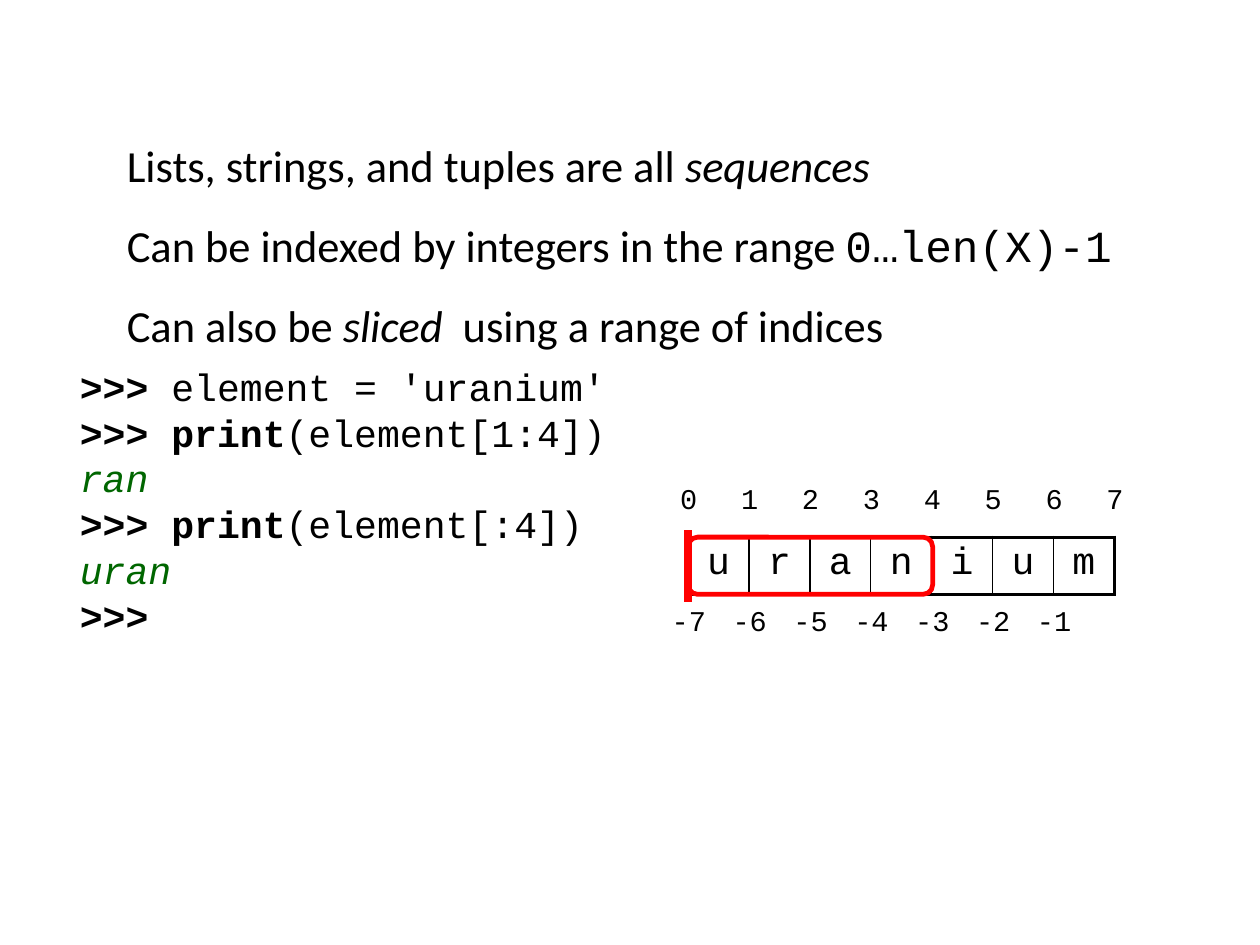
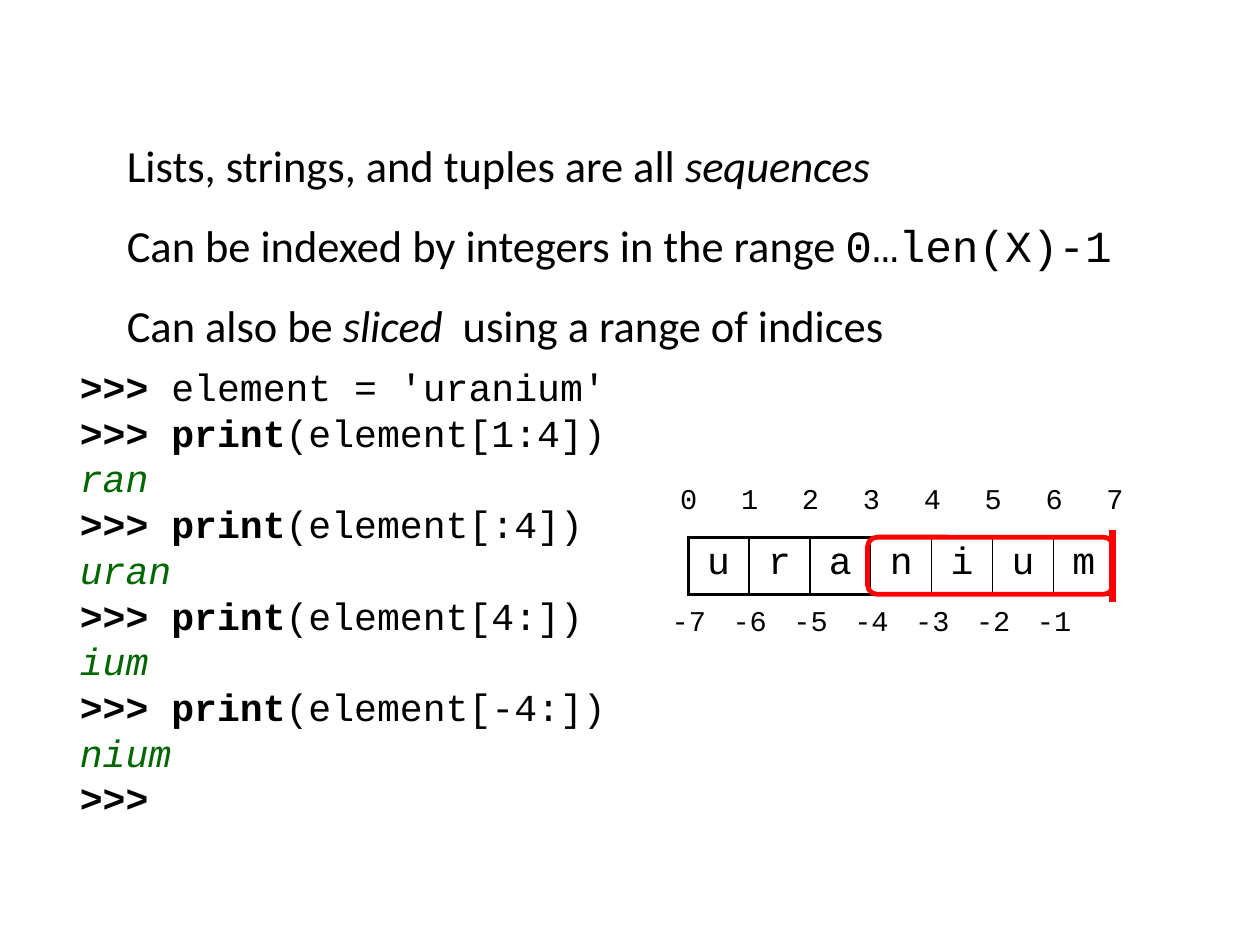
from pptx import Presentation
from pptx.dml.color import RGBColor
from pptx.enum.shapes import MSO_CONNECTOR, MSO_SHAPE
from pptx.enum.text import MSO_ANCHOR, MSO_AUTO_SIZE, PP_ALIGN
from pptx.oxml.ns import qn
from pptx.util import Cm, Inches, Pt
from lxml import etree

ROUNDED = MSO_SHAPE.ROUNDED_RECTANGLE
STRAIGHT = MSO_CONNECTOR.STRAIGHT
TOP = MSO_ANCHOR.TOP
NO_AUTOFIT = MSO_AUTO_SIZE.NONE
LEFT, CENTER = PP_ALIGN.LEFT, PP_ALIGN.CENTER

# Shared look
SLIDE_WIDTH, SLIDE_HEIGHT = Cm(28), Cm(21)
BLACK = RGBColor(0x00, 0x00, 0x00)
GREEN = RGBColor(0x00, 0x66, 0x00)
RED = RGBColor(0xFF, 0x00, 0x00)
PROSE, CODE = "Calibri", "Courier New"
PLAIN_TABLE = "{2D5ABB26-0587-4C30-8999-92F81FD0307C}"

# Letter grid
WORD = "uranium"
WORD_LEFT, WORD_TOP = Inches(6.02), Inches(4.7)
LETTER_HEIGHT = Inches(0.5)
LETTER_WIDTH = Inches(3.73) // len(WORD)
INDEX_LEFT = Inches(5.76)
OUTER, INNER = Pt(2.25), Pt(1)

# Each point is a list of (text, font, italic)
POINTS = [
    [("Lists, strings, and tuples are all ", PROSE, False),
     ("sequences", PROSE, True)],
    [("Can be indexed by integers in the range ", PROSE, False),
     ("0…len(X)-1", CODE, False)],
    [("Can also be ", PROSE, False), ("sliced", PROSE, True),
     ("  using a range of indices", PROSE, False)],
]

# Each slice typed at the prompt, with its result
SLICES = [("[1:4]", "ran"), ("[:4]", "uran"), ("[4:]", "ium"), ("[-4:]", "nium")]


def add_run(paragraph, text, size, font=CODE, color=BLACK, bold=False, italic=False):
    run = paragraph.add_run()
    run.text = text
    run.font.name = font
    run.font.size = Pt(size)
    run.font.color.rgb = color
    run.font.bold = bold
    run.font.italic = italic


def next_paragraph(frame, number):
    return frame.paragraphs[0] if number == 0 else frame.add_paragraph()


def add_points(slide):
    body = slide.placeholders[1]
    body.left, body.top = Inches(1.01), Inches(0.92)
    body.width, body.height = Inches(8.91), Inches(2.22)
    frame = body.text_frame
    frame.auto_size = NO_AUTOFIT
    frame.vertical_anchor = TOP
    for number, parts in enumerate(POINTS):
        point = next_paragraph(frame, number)
        point.alignment = LEFT
        point.line_spacing = 1.5
        point.space_before = point.space_after = Pt(0)
        properties = point._p.get_or_add_pPr()
        properties.set("marL", str(Inches(0.5)))
        properties.set("indent", str(-Inches(0.5)))
        etree.SubElement(properties, qn("a:buNone"))
        for text, font, italic in parts:
            add_run(point, text, 28, font, italic=italic)


def add_session(slide, slices):
    """Show the interpreter session: assignment, slices and a last prompt."""
    lines = [[(">>>", BLACK, True, False),
              (f" element = '{WORD}'", BLACK, False, False)]]
    for index, result in slices:
        lines.append([(">>> print", BLACK, True, False),
                      (f"(element{index})", BLACK, False, False)])
        lines.append([(result, GREEN, False, True)])
    lines.append([(">>>", BLACK, True, False)])

    session = slide.shapes.add_textbox(Inches(0.6), Inches(3.13),
                                       Inches(4.91), Inches(4.22))
    frame = session.text_frame
    frame.word_wrap = True
    for number, parts in enumerate(lines):
        line = next_paragraph(frame, number)
        for text, color, bold, italic in parts:
            add_run(line, text, 24, CODE, color, bold, italic)


def set_border(cell, side, width):
    border = etree.SubElement(cell._tc.get_or_add_tcPr(), qn(f"a:{side}"), w=str(width))
    fill = etree.SubElement(border, qn("a:solidFill"))
    etree.SubElement(fill, qn("a:srgbClr"), val=str(BLACK))


def add_row(slide, entries, left, top, height, size, bordered=False):
    """Add a one-row table, framed when bordered."""
    width = LETTER_WIDTH * len(entries)
    table = slide.shapes.add_table(1, len(entries), left, top, width, height).table
    table.first_row = table.horz_banding = False
    table._tbl.tblPr.find(qn("a:tableStyleId")).text = PLAIN_TABLE
    last = len(entries) - 1
    for column, entry in enumerate(entries):
        table.columns[column].width = LETTER_WIDTH
        cell = table.cell(0, column)
        if bordered:
            set_border(cell, "lnL", OUTER if column == 0 else INNER)
            set_border(cell, "lnR", OUTER if column == last else INNER)
            set_border(cell, "lnT", OUTER)
            set_border(cell, "lnB", OUTER)
        cell.fill.background()
        paragraph = cell.text_frame.paragraphs[0]
        paragraph.alignment = CENTER
        paragraph.line_spacing = 0.93
        paragraph.space_after = Pt(14.2)
        add_run(paragraph, str(entry), size)


def add_word(slide):
    count = len(WORD)
    add_row(slide, WORD, WORD_LEFT, WORD_TOP, LETTER_HEIGHT, 24, bordered=True)
    add_row(slide, range(count + 1), INDEX_LEFT, Inches(4.2), Inches(0.5), 18)
    add_row(slide, range(-count, 0), INDEX_LEFT, Inches(5.27), Inches(0.72), 18)


def add_slice_mark(slide, left, width, open_end):
    """Outline the chosen letters and mark the open end of the slice."""
    outline = slide.shapes.add_shape(ROUNDED, left, WORD_TOP, width, LETTER_HEIGHT)
    outline.shadow.inherit = False
    outline.fill.background()
    outline.line.color.rgb = RED
    outline.line.width = Pt(3)

    bar = slide.shapes.add_connector(STRAIGHT, open_end, Inches(4.64),
                                     open_end, Inches(5.27))
    bar.line.color.rgb = RED
    bar.line.width = Pt(4.5)
    etree.SubElement(bar._element.spPr, qn("a:effectLst"))


def add_slicing_slide(deck, slices, mark_left, mark_width, open_end):
    slide = deck.slides.add_slide(deck.slide_layouts[1])
    title = slide.shapes.title._element
    title.getparent().remove(title)
    add_points(slide)
    add_session(slide, slices)
    add_word(slide)
    add_slice_mark(slide, mark_left, mark_width, open_end)


def main():
    deck = Presentation()
    deck.slide_width = SLIDE_WIDTH
    deck.slide_height = SLIDE_HEIGHT
    # Slice from the start
    add_slicing_slide(deck, SLICES[:2], WORD_LEFT, Inches(2.14), WORD_LEFT)
    # Slices to the end
    add_slicing_slide(deck, SLICES, Inches(7.59), Inches(2.15), Inches(9.73))
    deck.save("out.pptx")


main()
